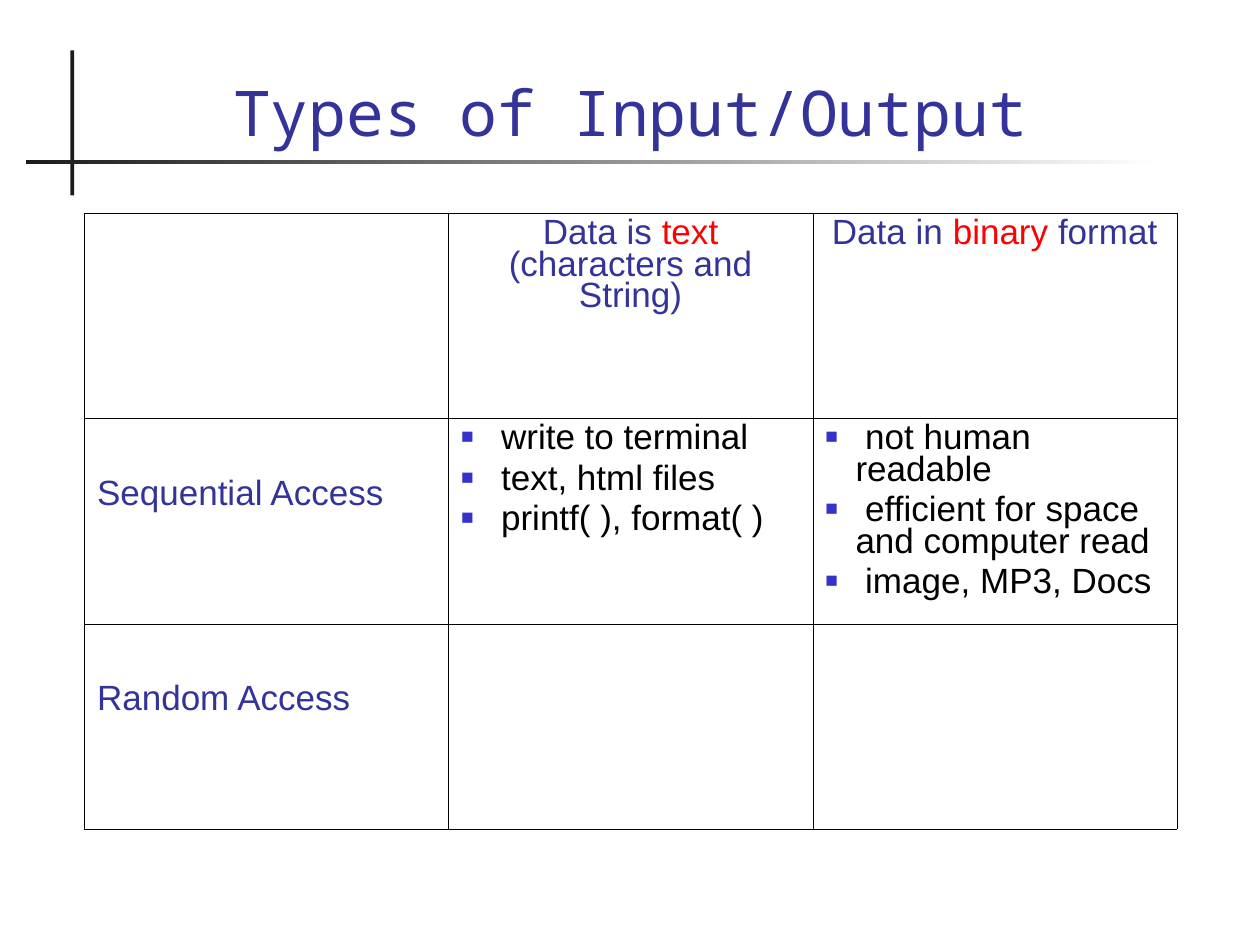
from lxml.etree import SubElement
from pptx import Presentation
from pptx.dml.color import RGBColor
from pptx.enum.shapes import MSO_SHAPE
from pptx.enum.text import MSO_ANCHOR, PP_ALIGN
from pptx.oxml import parse_xml
from pptx.oxml.ns import nsdecls, qn
from pptx.util import Inches, Pt

COLORS = {
    "heading": "333399",
    "highlight": "FF0000",
    "body": "000000",
    "bullet": "3333CC",
    "rule": "1C1C1C",
    "fade": "FFFFFF",
    "border": "000000",
}
BODY_FONT = "Arial"
TITLE_FONT = "Noto Sans Mono"
OUTER_BORDER, INNER_BORDER = Pt(0.11), Pt(0.06)

COLUMN_HEADERS = [
    [("Data is ", "heading"), ("text", "highlight"), (" (characters and String)", "heading")],
    [("Data in ", "heading"), ("binary", "highlight"), (" format", "heading")],
]
ROW_HEADERS = ["Sequential Access", "Random Access"]
SEQUENTIAL_NOTES = [
    [" write to terminal", " text, html files", " printf( ), format( )"],
    [" not human readable", " efficient for space and computer read", " image, MP3, Docs"],
]


def rgb(color):
    return RGBColor.from_string(COLORS[color])


def style_run(run, size, font, color):
    run.font.size = Pt(size)
    run.font.name = font
    run.font.color.rgb = rgb(color)


def add_rule(slide, left, top, width, height, fades=False):
    rule = slide.shapes.add_shape(
        MSO_SHAPE.RECTANGLE, Inches(left), Inches(top), Inches(width), Inches(height))
    rule.shadow.inherit = False
    rule.line.fill.background()
    if fades:
        rule.fill.gradient()
        rule.fill.gradient_angle = 180
        for stop, color in zip(rule.fill.gradient_stops, ("fade", "rule")):
            stop.color.rgb = rgb(color)
    else:
        rule.fill.solid()
        rule.fill.fore_color.rgb = rgb("rule")


def add_title(slide, text):
    title = slide.shapes.add_textbox(Inches(0.67), Inches(0.28), Inches(8.66), Inches(0.95))
    frame = title.text_frame
    frame.word_wrap = True
    frame.vertical_anchor = MSO_ANCHOR.BOTTOM
    frame.text = text
    paragraph = frame.paragraphs[0]
    paragraph.alignment = PP_ALIGN.CENTER
    style_run(paragraph.runs[0], 36, TITLE_FONT, "heading")


def set_borders(cell, widths):
    properties = cell._tc.get_or_add_tcPr()
    for index, (side, width) in enumerate(zip("LRTB", widths)):
        properties.insert(index, parse_xml(
            f'<a:ln{side} {nsdecls("a")} w="{width}"><a:solidFill>'
            f'<a:srgbClr val="{COLORS["border"]}"/></a:solidFill></a:ln{side}>'))


def add_grid(slide):
    grid = slide.shapes.add_table(
        3, 3, Inches(0.67), Inches(1.69), Inches(8.67), Inches(4.88)).table
    grid.first_row = False
    grid.horz_banding = False
    for column in grid.columns:
        column.width = Inches(2.89)
    for row in grid.rows:
        row.height = Inches(1.63)
    for row in range(3):
        for column in range(3):
            cell = grid.cell(row, column)
            cell.fill.background()
            on_edge = (column == 0, column == 2, row == 0, row == 2)
            set_borders(cell, [OUTER_BORDER if edge else INNER_BORDER for edge in on_edge])
    return grid


def space_lines(paragraph):
    paragraph.line_spacing = 0.81
    paragraph.space_before = Pt(5)


def add_bullet(paragraph):
    properties = paragraph._p.get_or_add_pPr()
    indent = Inches(0.24)
    properties.set("marL", str(indent))
    properties.set("indent", str(-indent))
    bullet_color = SubElement(properties, qn("a:buClr"))
    SubElement(bullet_color, qn("a:srgbClr"), val=COLORS["bullet"])
    SubElement(properties, qn("a:buSzPct"), val="60000")
    SubElement(properties, qn("a:buFont"), typeface=BODY_FONT)
    SubElement(properties, qn("a:buChar"), char="■")


def fill_column_header(cell, parts):
    paragraph = cell.text_frame.paragraphs[0]
    paragraph.alignment = PP_ALIGN.CENTER
    space_lines(paragraph)
    for text, color in parts:
        run = paragraph.add_run()
        run.text = text
        style_run(run, 20, BODY_FONT, color)


def fill_row_header(cell, text):
    cell.margin_top = Inches(0.49)
    cell.text_frame.text = text
    paragraph = cell.text_frame.paragraphs[0]
    space_lines(paragraph)
    style_run(paragraph.runs[0], 20, BODY_FONT, "heading")


def fill_notes(cell, notes):
    cell.text_frame.text = "\n".join(notes)
    for paragraph in cell.text_frame.paragraphs:
        space_lines(paragraph)
        add_bullet(paragraph)
        style_run(paragraph.runs[0], 20, BODY_FONT, "body")


def main():
    presentation = Presentation()
    presentation.slide_width = Inches(10)
    presentation.slide_height = Inches(7.5)
    slide = presentation.slides.add_slide(presentation.slide_layouts[6])

    add_rule(slide, 0.56, 0.4, 0.03, 1.15)
    add_rule(slide, 0.21, 1.27, 8.99, 0.03, fades=True)
    add_title(slide, "Types of Input/Output")

    grid = add_grid(slide)
    for column, parts in enumerate(COLUMN_HEADERS, start=1):
        fill_column_header(grid.cell(0, column), parts)
    for row, text in enumerate(ROW_HEADERS, start=1):
        fill_row_header(grid.cell(row, 0), text)
    for column, notes in enumerate(SEQUENTIAL_NOTES, start=1):
        fill_notes(grid.cell(1, column), notes)

    presentation.save("out.pptx")


if __name__ == "__main__":
    main()
